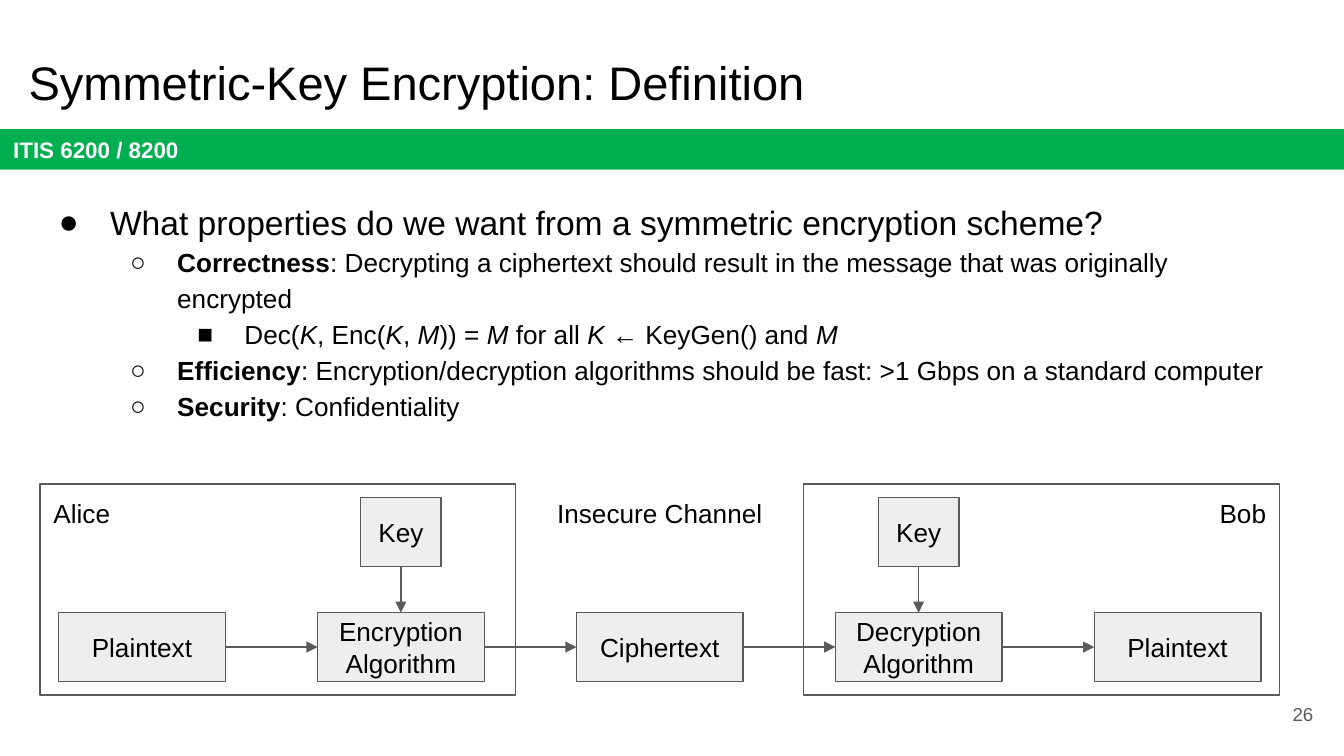
from lxml.etree import SubElement
from pptx import Presentation
from pptx.dml.color import RGBColor
from pptx.enum.shapes import MSO_CONNECTOR, MSO_SHAPE
from pptx.enum.text import MSO_ANCHOR, MSO_AUTO_SIZE, PP_ALIGN
from pptx.oxml.ns import qn
from pptx.util import Cm, Pt

COLORS = {
    "text": "000000",
    "banner": "00B050",
    "banner_text": "FFFFFF",
    "step": "EEEEEE",
    "outline": "595959",
}
FONT = "Arial"
INSET = 0.25
TOP, LEFT, BOTTOM, RIGHT = range(4)  # connection sites of a rectangle

# Each level: bullet, hanging indent in cm, size in points
LEVELS = [("●", 0.97, 18), ("○", 0.89, 14), ("■", 0.89, 14)]

# Each point: level, then runs of (text, style); style is "", "b" or "i"
POINTS = [
    (0, [("What properties do we want from a symmetric encryption scheme?", "")]),
    (1, [("Correctness", "b"),
         (": Decrypting a ciphertext should result in the message that was "
          "originally encrypted", "")]),
    (2, [("Dec(", ""), ("K", "i"), (", Enc(", ""), ("K", "i"), (", ", ""),
         ("M", "i"), (")) = ", ""), ("M", "i"), (" for all ", ""), ("K", "i"),
         (" ← KeyGen() and ", ""), ("M", "i")]),
    (1, [("Efficiency", "b"),
         (": Encryption/decryption algorithms should be fast: >1 Gbps on a "
          "standard computer", "")]),
    (1, [("Security", "b"), (": Confidentiality", "")]),
]

STEPS = ["Plaintext", "Encryption Algorithm", "Ciphertext",
         "Decryption Algorithm", "Plaintext"]
KEYED_STEPS = (1, 3)


def rgb(name):
    return RGBColor.from_string(COLORS[name])


def add_run(paragraph, text, size, color="text", style=""):
    run = paragraph.add_run()
    run.text = text
    run.font.name = FONT
    run.font.size = Pt(size)
    run.font.color.rgb = rgb(color)
    run.font.bold = style == "b"
    run.font.italic = style == "i"


def prepare_frame(shape, anchor=MSO_ANCHOR.TOP):
    frame = shape.text_frame
    frame.word_wrap = True
    frame.auto_size = MSO_AUTO_SIZE.NONE
    frame.vertical_anchor = anchor
    frame.margin_left = frame.margin_right = Cm(INSET)
    frame.margin_top = frame.margin_bottom = Cm(INSET)
    return frame


def add_label(slide, box, text, align, size=14, color="text", anchor=MSO_ANCHOR.TOP):
    label = slide.shapes.add_textbox(*map(Cm, box))
    paragraph = prepare_frame(label, anchor).paragraphs[0]
    paragraph.alignment = align
    add_run(paragraph, text, size, color)


def add_rectangle(slide, box, fill=None, line="outline"):
    rectangle = slide.shapes.add_shape(MSO_SHAPE.RECTANGLE, *map(Cm, box))
    rectangle.shadow.inherit = False
    if fill:
        rectangle.fill.solid()
        rectangle.fill.fore_color.rgb = rgb(fill)
    else:
        rectangle.fill.background()
    if line:
        rectangle.line.color.rgb = rgb(line)
        rectangle.line.width = Pt(0.75)
    else:
        rectangle.line.fill.background()
    return rectangle


def add_step(slide, box, text):
    step = add_rectangle(slide, box, "step")
    paragraph = prepare_frame(step, MSO_ANCHOR.MIDDLE).paragraphs[0]
    paragraph.alignment = PP_ALIGN.CENTER
    add_run(paragraph, text, 14)
    return step


def add_arrow(slide, source, source_site, target, target_site):
    arrow = slide.shapes.add_connector(MSO_CONNECTOR.STRAIGHT, 0, 0, 0, 0)
    arrow.begin_connect(source, source_site)
    arrow.end_connect(target, target_site)
    arrow.line.color.rgb = rgb("outline")
    arrow.line.width = Pt(0.75)
    SubElement(arrow.line._get_or_add_ln(), qn("a:tailEnd"), type="triangle")
    SubElement(arrow._element.spPr, qn("a:effectLst"))


def place_title(slide, box, text):
    title = slide.shapes.title
    title.left, title.top, title.width, title.height = map(Cm, box)
    paragraph = prepare_frame(title).paragraphs[0]
    paragraph.alignment = PP_ALIGN.LEFT
    add_run(paragraph, text, 25.2)


def add_banner(slide, box, text):
    banner = add_rectangle(slide, box, "banner", line=None)
    paragraph = prepare_frame(banner, MSO_ANCHOR.MIDDLE).paragraphs[0]
    paragraph.alignment = PP_ALIGN.LEFT
    add_run(paragraph, text, 12, "banner_text", "b")


def add_bullet(paragraph, level):
    bullet, hanging, _ = LEVELS[level]
    paragraph.level = level
    properties = paragraph._p.get_or_add_pPr()
    properties.set("marL", str(Cm(1.27 * (level + 1))))
    properties.set("indent", str(-Cm(hanging)))
    bullet_color = SubElement(properties, qn("a:buClr"))
    SubElement(bullet_color, qn("a:srgbClr"), val=COLORS["text"])
    SubElement(properties, qn("a:buFont"), typeface=FONT)
    SubElement(properties, qn("a:buChar"), char=bullet)


def add_points(slide, box, points):
    frame = prepare_frame(slide.shapes.add_textbox(*map(Cm, box)))
    for index, (level, runs) in enumerate(points):
        paragraph = frame.add_paragraph() if index else frame.paragraphs[0]
        add_bullet(paragraph, level)
        paragraph.line_spacing = 1.15
        for text, style in runs:
            add_run(paragraph, text, LEVELS[level][2], style=style)


def add_encryption_flow(slide, box):
    """Draw Alice's and Bob's areas and the chain of steps that crosses them."""
    left, top, width, height = box
    party_width, label_height = 8.99, 1.12
    step_width, key_width, step_height = 3.15, 1.52, 1.3
    side_pad, edge_pad = 0.35, 0.26

    bob_left = left + width - party_width
    for party_left in (bob_left, left):
        add_rectangle(slide, (party_left, top, party_width, height))

    pitch = (width - 2 * side_pad - step_width) / (len(STEPS) - 1)
    step_top = top + height - edge_pad - step_height
    previous = None
    for index, text in enumerate(STEPS):
        step_left = left + side_pad + index * pitch
        step = add_step(slide, (step_left, step_top, step_width, step_height), text)
        if previous:
            add_arrow(slide, previous, RIGHT, step, LEFT)
        if index in KEYED_STEPS:
            key_left = step_left + (step_width - key_width) / 2
            key = add_step(slide, (key_left, top + edge_pad, key_width, step_height), "Key")
            add_arrow(slide, key, BOTTOM, step, TOP)
        previous = step

    name_width = 2.13
    channel_left = left + party_width
    for label_left, label_width, text, align in (
        (left, name_width, "Alice", PP_ALIGN.LEFT),
        (left + width - name_width, name_width, "Bob", PP_ALIGN.RIGHT),
        (channel_left, bob_left - channel_left, "Insecure Channel", PP_ALIGN.CENTER),
    ):
        add_label(slide, (label_left, top, label_width, label_height), text, align)


def main():
    presentation = Presentation()
    presentation.slide_width, presentation.slide_height = Cm(25.4), Cm(14.29)
    slide = presentation.slides.add_slide(presentation.slide_layouts[5])

    add_banner(slide, (0, 2.44, 25.4, 0.77), "ITIS 6200 / 8200")
    place_title(slide, (0.29, 0.76, 23.67, 1.6), "Symmetric-Key Encryption: Definition")
    add_points(slide, (0.56, 3.45, 23.67, 10.46), POINTS)
    add_label(slide, (23.55, 12.95, 1.52, 1.09), "26", PP_ALIGN.RIGHT,
              10, "outline", MSO_ANCHOR.MIDDLE)
    add_encryption_flow(slide, (0.76, 9.15, 23.42, 3.99))

    presentation.save("out.pptx")


if __name__ == "__main__":
    main()
